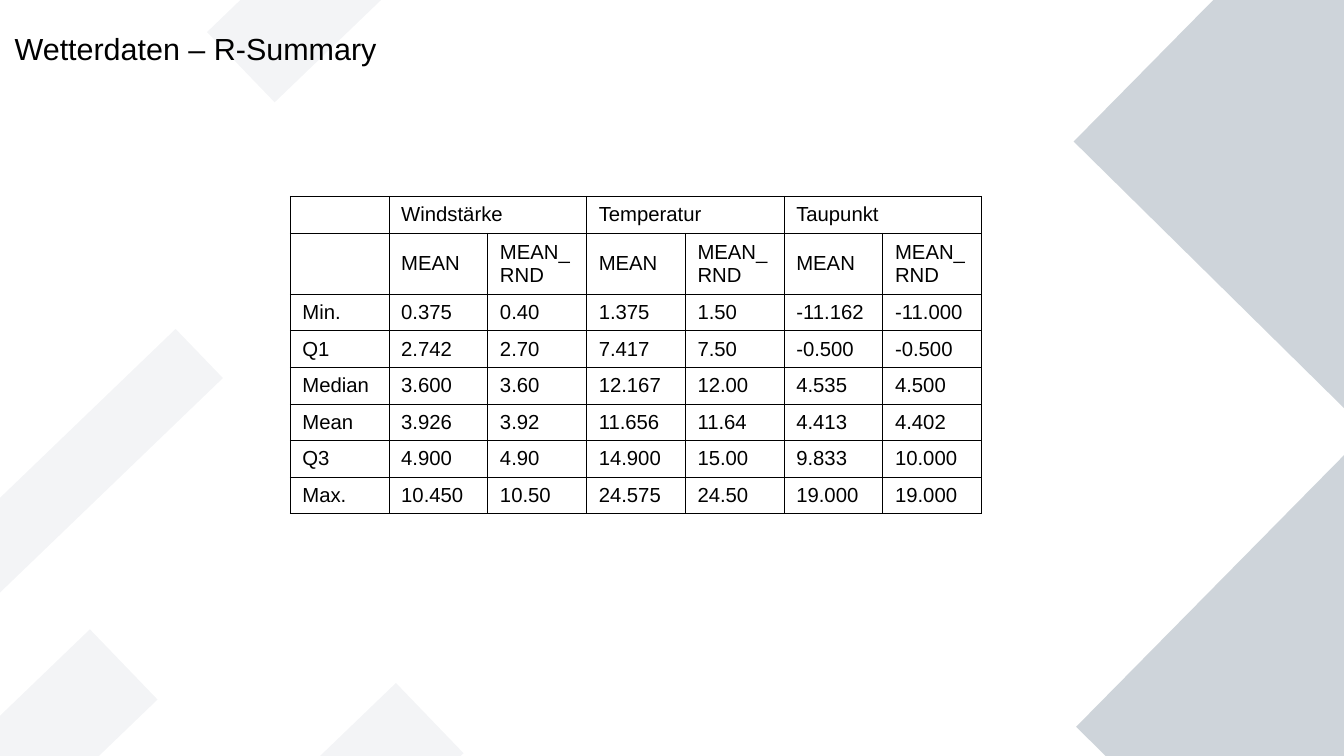
from dataclasses import dataclass

from lxml.etree import SubElement
from pptx import Presentation
from pptx.dml.color import RGBColor
from pptx.enum.shapes import MSO_SHAPE
from pptx.enum.text import MSO_ANCHOR, MSO_AUTO_SIZE, PP_ALIGN
from pptx.oxml.ns import qn
from pptx.util import Inches, Pt


@dataclass(frozen=True)
class Theme:
    font: str = "Arial"
    ink: str = "000000"
    block: str = "CED4DA"
    band: str = "8D99AE"
    head: int = 18
    body: int = 12
    rule: float = 0.57


def write(frame, text, font, size, color, align=PP_ALIGN.LEFT):
    para = frame.paragraphs[0]
    para.alignment = align
    if not text:
        # An empty cell keeps the row height of the body size
        para._p.get_or_add_endParaRPr().set("sz", str(size * 100))
        return
    run = para.add_run()
    run.text = text
    run.font.name = font
    run.font.size = Pt(size)
    run.font.color.rgb = RGBColor.from_string(color)


class Deck:
    def __init__(self, theme, width, height):
        self.theme = theme
        self.show = Presentation()
        self.show.slide_width = Inches(width)
        self.show.slide_height = Inches(height)
        self.slide = self.show.slides.add_slide(self.show.slide_layouts[5])

    def rect(self, left, top, width, height, turn, color, alpha=100):
        shape = self.slide.shapes.add_shape(
            MSO_SHAPE.RECTANGLE, *map(Inches, (left, top, width, height)))
        shape.rotation = turn
        shape.shadow.inherit = False
        shape.line.fill.background()
        shape.fill.solid()
        shape.fill.fore_color.rgb = RGBColor.from_string(color)
        if alpha < 100:
            tint = shape._element.spPr.find(".//" + qn("a:srgbClr"))
            SubElement(tint, qn("a:alpha"), val=str(alpha * 1000))

    def title(self, text, left, top, width, height):
        shape = self.slide.shapes.title
        shape.left, shape.top = Inches(left), Inches(top)
        shape.width, shape.height = Inches(width), Inches(height)
        frame = shape.text_frame
        frame.margin_left = frame.margin_right = 0
        frame.margin_top = frame.margin_bottom = 0
        frame.word_wrap = True
        frame.auto_size = MSO_AUTO_SIZE.NONE
        frame.vertical_anchor = MSO_ANCHOR.MIDDLE
        write(frame, text, self.theme.font, self.theme.head, self.theme.ink)
        # Bring the title in front of the backdrop
        self.slide.shapes._spTree.append(shape._element)

    def border(self, cell):
        props = cell._tc.get_or_add_tcPr()
        for side in ("lnL", "lnR", "lnT", "lnB"):
            line = SubElement(props, qn("a:" + side),
                              w=str(int(Pt(self.theme.rule))))
            fill = SubElement(line, qn("a:solidFill"))
            SubElement(fill, qn("a:srgbClr"), val=self.theme.ink)

    def table(self, rows, left, top, col, heights, spans):
        count = len(rows[0])
        table = self.slide.shapes.add_table(
            len(rows), count, Inches(left), Inches(top),
            Inches(col * count), Inches(sum(heights))).table
        table.first_row = table.horz_banding = False
        for column in table.columns:
            column.width = Inches(col)
        for row, height in zip(table.rows, heights):
            row.height = Inches(height)
        for r, row in enumerate(rows):
            for c, text in enumerate(row):
                cell = table.cell(r, c)
                self.border(cell)
                cell.fill.background()
                cell.vertical_anchor = MSO_ANCHOR.MIDDLE
                cell.margin_left = cell.margin_right = Inches(0.1)
                cell.margin_top = cell.margin_bottom = Inches(0.05)
                write(cell.text_frame, text, self.theme.font,
                      self.theme.body, self.theme.ink)
        for r, first, last in spans:
            table.cell(r, first).merge(table.cell(r, last))


def main():
    theme = Theme()
    deck = Deck(theme, 11.02, 6.2)

    # Backdrop: large blocks on the right, faint bands on the left
    for left, top in ((9.46, -0.44), (9.48, 4.36)):
        deck.rect(left, top, 3.17, 3.17, 314.6, theme.block)
    for left, top, height in ((1.09, 6.47, 0.8), (-1.42, 6.03, 0.8),
                              (1.58, -0.83, 0.8), (-0.8, 3.6, 0.56)):
        deck.rect(left, top, 2.83, height, 316.1, theme.band, alpha=10)

    # Title
    deck.title("Wetterdaten – R-Summary", 0.12, 0.19, 9.92, 0.41)

    # Summary table: two columns for each measure
    rows = [
        ["", "Windstärke", "", "Temperatur", "", "Taupunkt", ""],
        [""] + ["MEAN", "MEAN_RND"] * 3,
        ["Min.", "0.375", "0.40", "1.375", "1.50", "-11.162", "-11.000"],
        ["Q1", "2.742", "2.70", "7.417", "7.50", "-0.500", "-0.500"],
        ["Median", "3.600", "3.60", "12.167", "12.00", "4.535", "4.500"],
        ["Mean", "3.926", "3.92", "11.656", "11.64", "4.413", "4.402"],
        ["Q3", "4.900", "4.90", "14.900", "15.00", "9.833", "10.000"],
        ["Max.", "10.450", "10.50", "24.575", "24.50", "19.000", "19.000"],
    ]
    heights = [0.3, 0.5] + [0.3] * 6
    spans = [(0, c, c + 1) for c in (1, 3, 5)]
    deck.table(rows, 2.38, 1.61, 0.81, heights, spans)

    deck.show.save("out.pptx")


if __name__ == "__main__":
    main()
